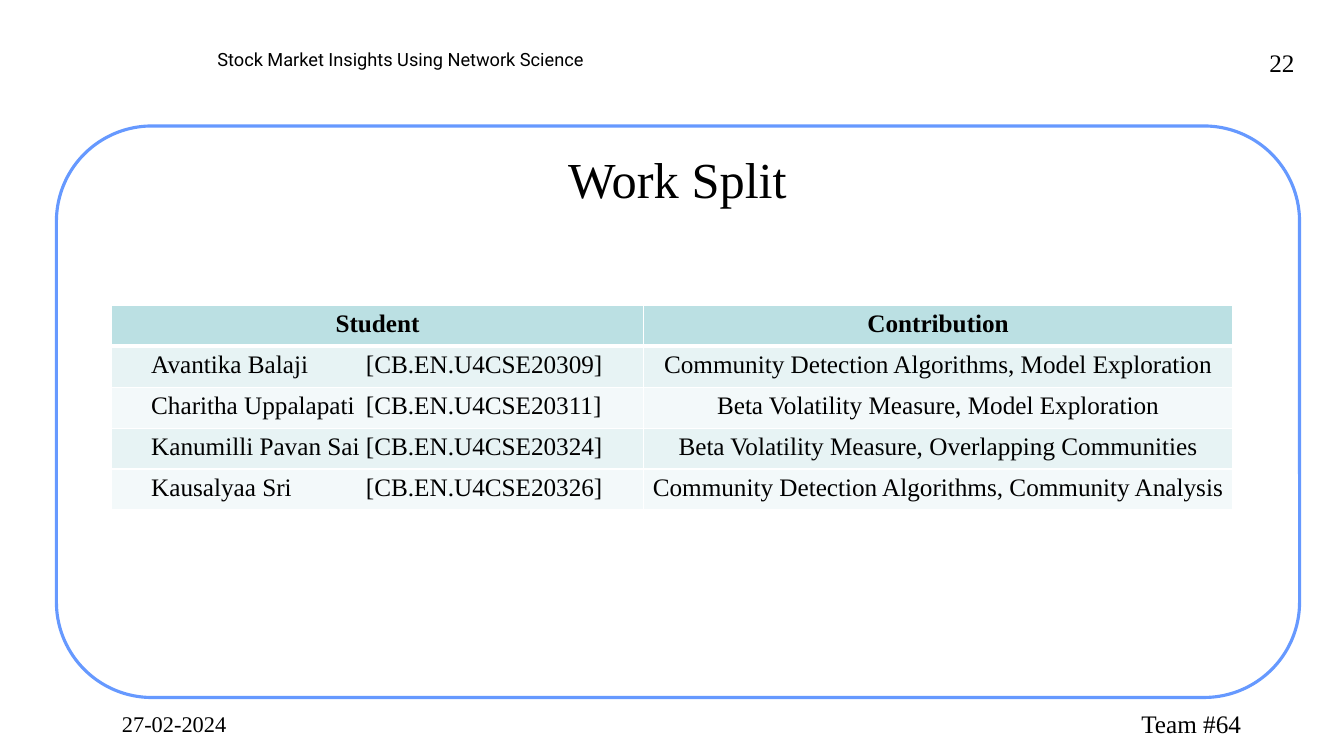
"""Build the work split slide with its frame, captions and student table."""
from lxml import etree
from pptx import Presentation
from pptx.dml.color import RGBColor
from pptx.enum.shapes import MSO_SHAPE as Shape
from pptx.enum.text import MSO_ANCHOR as Anchor, PP_ALIGN as Align
from pptx.oxml import parse_xml
from pptx.oxml.ns import nsdecls, qn
from pptx.util import Inches, Pt

SERIF = "Times New Roman"
INSET = Inches(0.05)
MARGINS = dict.fromkeys(("margin_left", "margin_top", "margin_right", "margin_bottom"), INSET)


def color(hex_code):
    return RGBColor.from_string(hex_code)


def write(paragraph, text, align, size, face=SERIF, bold=False):
    paragraph.alignment = align
    run = paragraph.add_run()
    run.text = text
    for key, value in {"name": face, "size": Pt(size), "bold": bold}.items():
        setattr(run.font, key, value)
    run.font.color.rgb = color("000000")


deck = Presentation()
deck.slide_width, deck.slide_height = Inches(13.33), Inches(7.5)
slide = deck.slides.add_slide(deck.slide_layouts[5])

frame = slide.shapes.add_shape(
    Shape.ROUNDED_RECTANGLE, Inches(0.56), Inches(1.25), Inches(12.33), Inches(5.67))
frame.adjustments[0] = 0.167
frame.shadow.inherit = False
frame.fill.solid()
frame.fill.fore_color.rgb = color("FFFFFF")
frame.line.color.rgb = color("6699FF")
frame.line.width = Pt(2.25)
slide.shapes._spTree.insert(2, frame._element)

title = slide.shapes.title
title_place = {"left": 1.44, "top": 1.33, "width": 10.56, "height": 0.88}
for key, inches in title_place.items():
    setattr(title, key, Inches(inches))
for key, value in {**MARGINS, "vertical_anchor": Anchor.MIDDLE, "word_wrap": True}.items():
    setattr(title.text_frame, key, value)
write(title.text_frame.paragraphs[0], "Work Split", Align.CENTER, 36)

captions = [
    ("Stock Market Insights Using Network Science", (0.41, 0.43, 7.12, 0.3), Align.CENTER, 13, "Roboto"),
    ("Team #64", (11.27, 6.98, 1.71, 0.38), Align.LEFT, 18, SERIF),
    ("27-02-2024", (1.16, 7, 2.08, 0.37), Align.LEFT, 16, SERIF),
    ("22", (12.09, 0.42, 0.8, 0.4), Align.RIGHT, 18, SERIF),
]
for text, place, align, size, face in captions:
    caption = slide.shapes.add_textbox(*map(Inches, place)).text_frame
    for key, value in {**MARGINS, "word_wrap": True}.items():
        setattr(caption, key, value)
    write(caption.paragraphs[0], text, align, size, face)

work_split = [
    ("Student", "Contribution"),
    ("Avantika Balaji\t[CB.EN.U4CSE20309]", "Community Detection Algorithms, Model Exploration"),
    ("Charitha Uppalapati\t[CB.EN.U4CSE20311]", "Beta Volatility Measure, Model Exploration"),
    ("Kanumilli Pavan Sai\t[CB.EN.U4CSE20324]", "Beta Volatility Measure, Overlapping Communities"),
    ("Kausalyaa Sri\t[CB.EN.U4CSE20326]", "Community Detection Algorithms, Community Analysis"),
]
column_widths = (5.27, 5.85)
table = slide.shapes.add_table(
    len(work_split), len(column_widths),
    Inches(1.11), Inches(3.03), Inches(sum(column_widths)), Inches(2.03)).table
for column, width in zip(table.columns, column_widths):
    column.width = Inches(width)

for row, entries in enumerate(work_split):
    fill = "BBE0E3" if row == 0 else ("F3F9FA", "E7F3F4")[row % 2]
    edges = {"L": 1, "R": 1, "T": 3 if row == 1 else 1, "B": 3 if row == 0 else 1}
    for col, entry in enumerate(entries):
        cell = table.cell(row, col)
        for key, value in MARGINS.items():
            setattr(cell, key, value)
        for side, points in edges.items():
            cell._tc.get_or_add_tcPr().append(parse_xml(
                f'<a:ln{side} {nsdecls("a")} w="{Pt(points)}"><a:solidFill>'
                f'<a:srgbClr val="FFFFFF"/></a:solidFill></a:ln{side}>'))
        cell.fill.solid()
        cell.fill.fore_color.rgb = color(fill)
        paragraph = cell.text_frame.paragraphs[0]
        align = Align.CENTER
        if "\t" in entry:
            align = Align.LEFT
            cell.margin_left = Inches(0.39)
            tabs = etree.SubElement(paragraph._p.get_or_add_pPr(), qn("a:tabLst"))
            etree.SubElement(tabs, qn("a:tab"), pos=str(Inches(2.13)), algn="l")
        write(paragraph, entry, align, 18, bold=row == 0)

deck.save("out.pptx")
